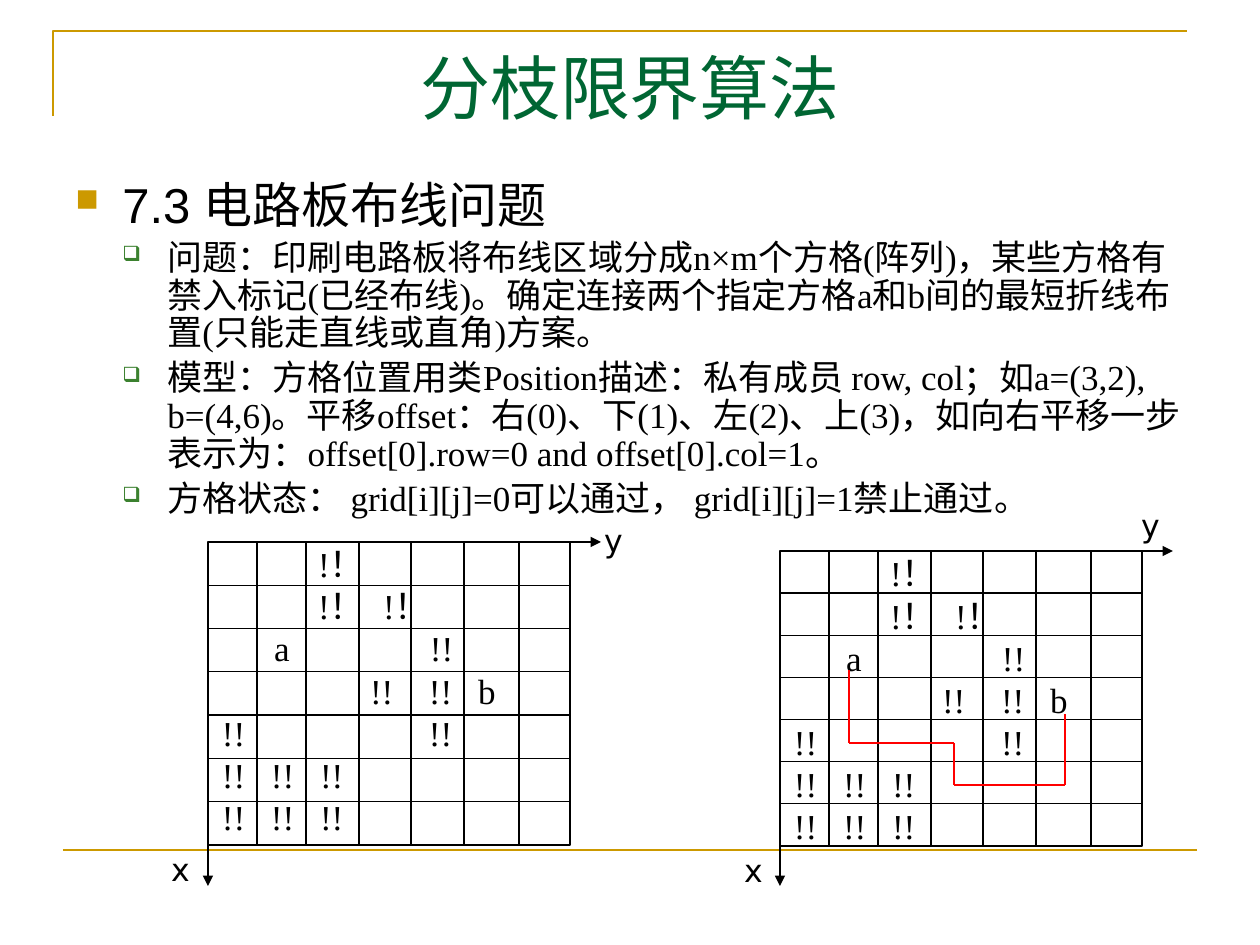
from lxml.etree import SubElement
from pptx import Presentation
from pptx.dml.color import RGBColor
from pptx.enum.shapes import MSO_CONNECTOR, MSO_SHAPE
from pptx.enum.text import MSO_ANCHOR, PP_ALIGN
from pptx.oxml.ns import qn
from pptx.util import Emu, Pt

PX = 914400 // 126
GOLD = RGBColor(0xCC, 0x99, 0x00)
DARK_GREEN = RGBColor(0x00, 0x66, 0x33)
LEAF_GREEN = RGBColor(0x3B, 0x81, 0x2F)
BLACK = RGBColor(0, 0, 0)
WHITE = RGBColor(255, 255, 255)
RED = RGBColor(255, 0, 0)
SERIF, SANS, LABEL_FONT = "Times New Roman", "Arial", "DejaVu Sans"

TITLE = "分枝限界算法"
HEADING = "7.3 电路板布线问题"
POINTS = [
    "问题：印刷电路板将布线区域分成n×m个方格(阵列)，某些方格有禁入标记(已经布线)。"
    "确定连接两个指定方格a和b间的最短折线布置(只能走直线或直角)方案。",
    "模型：方格位置用类Position描述：私有成员 row, col；如a=(3,2), b=(4,6)。"
    "平移offset：右(0)、下(1)、左(2)、上(3)，如向右平移一步表示为："
    "offset[0].row=0 and offset[0].col=1。",
    "方格状态： grid[i][j]=0可以通过， grid[i][j]=1禁止通过。",
]

# Each row of the board: (tab position, mark)
BOARD_ROWS = [
    [(105, "!！")],
    [(105, "!！"), (170, "!！")],
    [(61, "a"), (217, "!!")],
    [(157, "!!"), (216, "!!"), (265, "b")],
    [(9, "!!"), (216, "!!")],
    [(9, "!!"), (58, "!!"), (107, "!!")],
    [(9, "!!"), (58, "!!"), (107, "!!")],
]
COLUMN_OFFSETS = [49, 98, 151, 203, 256, 311]
BOARD_WIDTH, AXIS_LENGTH, AXIS_BOTTOM, LABEL_SIZE = 362, 393, 886, 25
BOARDS = [
    dict(left=208, top=542, height=303, y_label=(601, 527), x_label=(168, 856), wire=[]),
    dict(left=780, top=551, height=295, y_label=(1138, 512), x_label=(741, 857),
         wire=[(849, 670), (849, 743), (954, 743), (954, 785), (1065, 785), (1065, 714)]),
]


def px(n):
    return Emu(round(n * PX))


def write(paragraph, text, *, size, font=SERIF, color=BLACK, align=PP_ALIGN.LEFT,
          before=None, spacing=None):
    paragraph.alignment = align
    paragraph.space_before = before
    paragraph.line_spacing = spacing
    run = paragraph.add_run()
    run.text = text
    run.font.size = Pt(size)
    run.font.name = font
    run.font.color.rgb = color


def add_bullet(paragraph, char, color, percent, margin, hanging):
    props = paragraph._p.get_or_add_pPr()
    props.set("marL", str(px(margin)))
    props.set("indent", str(-px(hanging)))
    SubElement(SubElement(props, qn("a:buClr")), qn("a:srgbClr")).set("val", str(color))
    SubElement(props, qn("a:buSzPct")).set("val", str(percent * 1000))
    SubElement(props, qn("a:buChar")).set("char", char)


def add_tabs(paragraph, positions):
    stops = SubElement(paragraph._p.get_or_add_pPr(), qn("a:tabLst"))
    for position in positions:
        SubElement(stops, qn("a:tab"), pos=str(px(position)), algn="l")


def add_line(shapes, start, end, color=BLACK, width=0.75, arrow=False):
    line = shapes.add_connector(MSO_CONNECTOR.STRAIGHT, *map(px, start + end))
    line.line.color.rgb = color
    line.line.width = Pt(width)
    if arrow:
        SubElement(line.line._get_or_add_ln(), qn("a:tailEnd")).set("type", "triangle")
    SubElement(line._element.spPr, qn("a:effectLst"))


def add_box(shapes, left, top, width, height, inset, anchor):
    """Add a white rectangle without outline, and give it narrow text margins."""
    box = shapes.add_shape(MSO_SHAPE.RECTANGLE, *map(px, (left, top, width, height)))
    box.shadow.inherit = False
    box.fill.solid()
    box.fill.fore_color.rgb = WHITE
    box.line.fill.background()
    frame = box.text_frame
    frame.margin_left = frame.margin_right = px(inset)
    frame.margin_top = frame.margin_bottom = px(1)
    frame.vertical_anchor = anchor
    return box


def add_text_area(shapes, left, top, width, height):
    frame = shapes.add_textbox(*map(px, (left, top, width, height))).text_frame
    frame.word_wrap = True
    return frame


def add_board(slide, left, top, height, y_label, x_label, wire):
    shapes = slide.shapes.add_group_shape().shapes
    right, bottom = left + BOARD_WIDTH, top + height
    board = add_box(shapes, left, top, BOARD_WIDTH, height, 5, MSO_ANCHOR.TOP)
    board.line.color.rgb = BLACK
    board.line.width = Pt(0.75)
    frame = board.text_frame
    frame.word_wrap = True
    for i, cells in enumerate(BOARD_ROWS):
        paragraph = frame.add_paragraph() if i else frame.paragraphs[0]
        write(paragraph, "".join("\t" + mark for _, mark in cells), size=20, spacing=Pt(24))
        add_tabs(paragraph, [position for position, _ in cells])

    row_height = height / len(BOARD_ROWS)
    for i in range(1, len(BOARD_ROWS)):
        y = top + i * row_height
        add_line(shapes, (left, y), (right, y))
    for offset in COLUMN_OFFSETS:
        add_line(shapes, (left + offset, top), (left + offset, bottom))
    for start, end in zip(wire, wire[1:]):
        add_line(shapes, start, end, RED)
    for end in [(left, AXIS_BOTTOM), (left + AXIS_LENGTH, top)]:
        add_line(shapes, (left, top), end, arrow=True)

    for name, corner in [("y", y_label), ("x", x_label)]:
        label = add_box(shapes, *corner, LABEL_SIZE, LABEL_SIZE, 2, MSO_ANCHOR.MIDDLE)
        label.text_frame.word_wrap = False
        write(label.text_frame.paragraphs[0], name, size=18, font=LABEL_FONT,
              align=PP_ALIGN.CENTER)


def main():
    prs = Presentation()
    prs.slide_width, prs.slide_height = px(1260), px(945)
    slide = prs.slides.add_slide(prs.slide_layouts[6])
    shapes = slide.shapes

    builder = shapes.build_freeform(px(53), px(116), scale=1.0)
    builder.add_line_segments([(px(53), px(31)), (px(1187), px(31))], close=False)
    corner = builder.convert_to_shape()
    corner.shadow.inherit = False
    corner.fill.background()
    corner.line.color.rgb = GOLD
    corner.line.width = Pt(1.5)
    add_line(shapes, (63, 850), (1197, 850), GOLD, 1.5)

    title = add_text_area(shapes, 63, 38, 1134, 158)
    write(title.paragraphs[0], TITLE, size=40, color=DARK_GREEN, align=PP_ALIGN.CENTER)

    body = add_text_area(shapes, 63, 168, 1134, 678)
    heading = body.paragraphs[0]
    write(heading, HEADING, size=28, font=SANS, before=Pt(5.6))
    add_bullet(heading, "■", GOLD, 65, 47, 47)
    for point in POINTS:
        paragraph = body.add_paragraph()
        write(paragraph, point, size=20, before=Pt(4), spacing=0.9)
        add_bullet(paragraph, "❑", LEAF_GREEN, 60, 92, 45)

    for board in BOARDS:
        add_board(slide, **board)
    prs.save("out.pptx")


if __name__ == "__main__":
    main()
